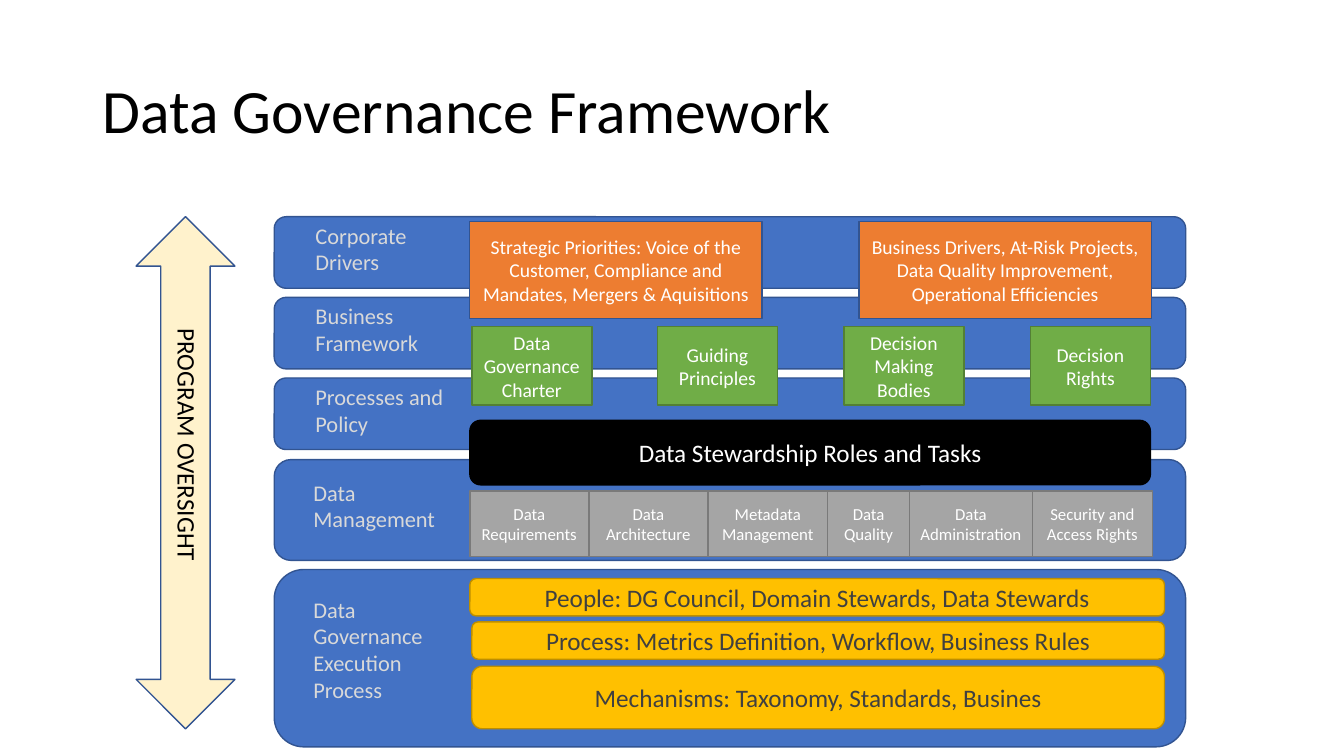
from pptx import Presentation
from pptx.dml.color import RGBColor
from pptx.enum.shapes import MSO_SHAPE as Shape
from pptx.enum.text import MSO_ANCHOR as Anchor, PP_ALIGN as Align
from pptx.util import Emu, Pt

PX = 9144  # 100 px to the inch
FONT = "Calibri"
BLUE, BLUE_EDGE = "4472C4", "325491"
BLACK, WHITE = "000000", "FFFFFF"

TITLE = "Data Governance Framework"
OVERSIGHT = "PROGRAM OVERSIGHT"
STEWARDSHIP = "Data Stewardship Roles and Tasks"

# band top, band height, label, label box (left, top, width, height)
BANDS = [
    (565, 176, "Data Governance Execution Process", (301, 586, 154, 118)),
    (456, 100, "Data Management", (301, 470, 165, 64)),
    (375, 71, "Processes and Policy", (303, 375, 165, 64)),
    (295, 71, "Business Framework", (303, 295, 165, 64)),
    (215, 71, "Corporate Drivers", (303, 215, 165, 64)),
]
DRIVERS = [
    "Strategic Priorities: Voice of the Customer, Compliance and Mandates, Mergers & Aquisitions",
    "Business Drivers, At-Risk Projects, Data Quality Improvement, Operational Efficiencies",
]
FRAMEWORK = ["Data Governance Charter", "Guiding Principles", "Decision Making Bodies", "Decision Rights"]
# name, width
MANAGEMENT = [
    ("Data Requirements", 118),
    ("Data Architecture", 118),
    ("Metadata Management", 119),
    ("Data Quality", 81),
    ("Data Administration", 122),
    ("Security and Access Rights", 119),
]
# text, box
EXECUTION = [
    ("People: DG Council, Domain Stewards, Data Stewards", (466, 574, 689, 37)),
    ("Process: Metrics Definition, Workflow, Business Rules", (468, 617, 687, 37)),
    ("Mechanisms: Taxonomy, Standards, Busines", (468, 661, 687, 62)),
]

presentation = Presentation()
presentation.slide_width = Emu(1333 * PX)
presentation.slide_height = Emu(750 * PX)
slide = presentation.slides.add_slide(presentation.slide_layouts[6])


def color(hex_code):
    return RGBColor.from_string(hex_code)


def to_emu(box):
    return [Emu(length * PX) for length in box]


def write(shape, text, size, ink, align=Align.LEFT, anchor=Anchor.TOP):
    frame = shape.text_frame
    frame.word_wrap = True
    frame.vertical_anchor = anchor
    paragraph = frame.paragraphs[0]
    paragraph.text = text
    paragraph.alignment = align
    paragraph.font.name = FONT
    paragraph.font.size = Pt(size)
    paragraph.font.color.rgb = color(ink)
    return paragraph


def add_label(box, text, size, ink, anchor=Anchor.TOP):
    label = slide.shapes.add_textbox(*to_emu(box))
    write(label, text, size, ink, anchor=anchor)
    return label


def add_block(kind, box, fill, edge, text="", size=18, ink=WHITE):
    block = slide.shapes.add_shape(kind, *to_emu(box))
    block.shadow.inherit = False
    block.fill.solid()
    block.fill.fore_color.rgb = color(fill)
    block.line.color.rgb = color(edge)
    block.line.width = Pt(1)
    if text:
        write(block, text, size, ink, Align.CENTER, Anchor.MIDDLE)


title = add_label((92, 40, 1150, 145), TITLE, 44, BLACK, Anchor.MIDDLE)
title.text_frame.paragraphs[0].line_spacing = 0.9

for top, height, name, label_box in BANDS:
    add_block(Shape.ROUNDED_RECTANGLE, (272, top, 904, height), BLUE, BLUE_EDGE)
    add_label(label_box, name, 16, "D9D9D9")

for text, box in EXECUTION:
    add_block(Shape.ROUNDED_RECTANGLE, box, "FFC000", "BD8E00", text, ink="404040")

left = 466
for text, width in MANAGEMENT:
    add_block(Shape.RECTANGLE, (left, 487, width, 65), "A5A5A5", "7A7A7A", text, 12)
    left += width

for index, text in enumerate(FRAMEWORK):
    left = 468 + 554 * index // 3  # first and last are 554 px apart
    add_block(Shape.RECTANGLE, (left, 324, 119, 78), "70AD47", "538035", text, 14)

add_block(Shape.ROUNDED_RECTANGLE, (466, 417, 675, 64), BLACK, BLACK, STEWARDSHIP)

for index, text in enumerate(DRIVERS):
    add_block(Shape.RECTANGLE, (466 + 386 * index, 220, 290, 96), "ED7D31", BLUE_EDGE, text, 14)

add_block(Shape.UP_DOWN_ARROW, (135, 215, 98, 508), "FFF2CC", BLUE_EDGE)
oversight = add_label((156, 316, 50, 290), OVERSIGHT, 18, BLACK)
oversight.rotation = 180
oversight.text_frame._txBody.bodyPr.set("vert", "vert270")

presentation.save("out.pptx")
